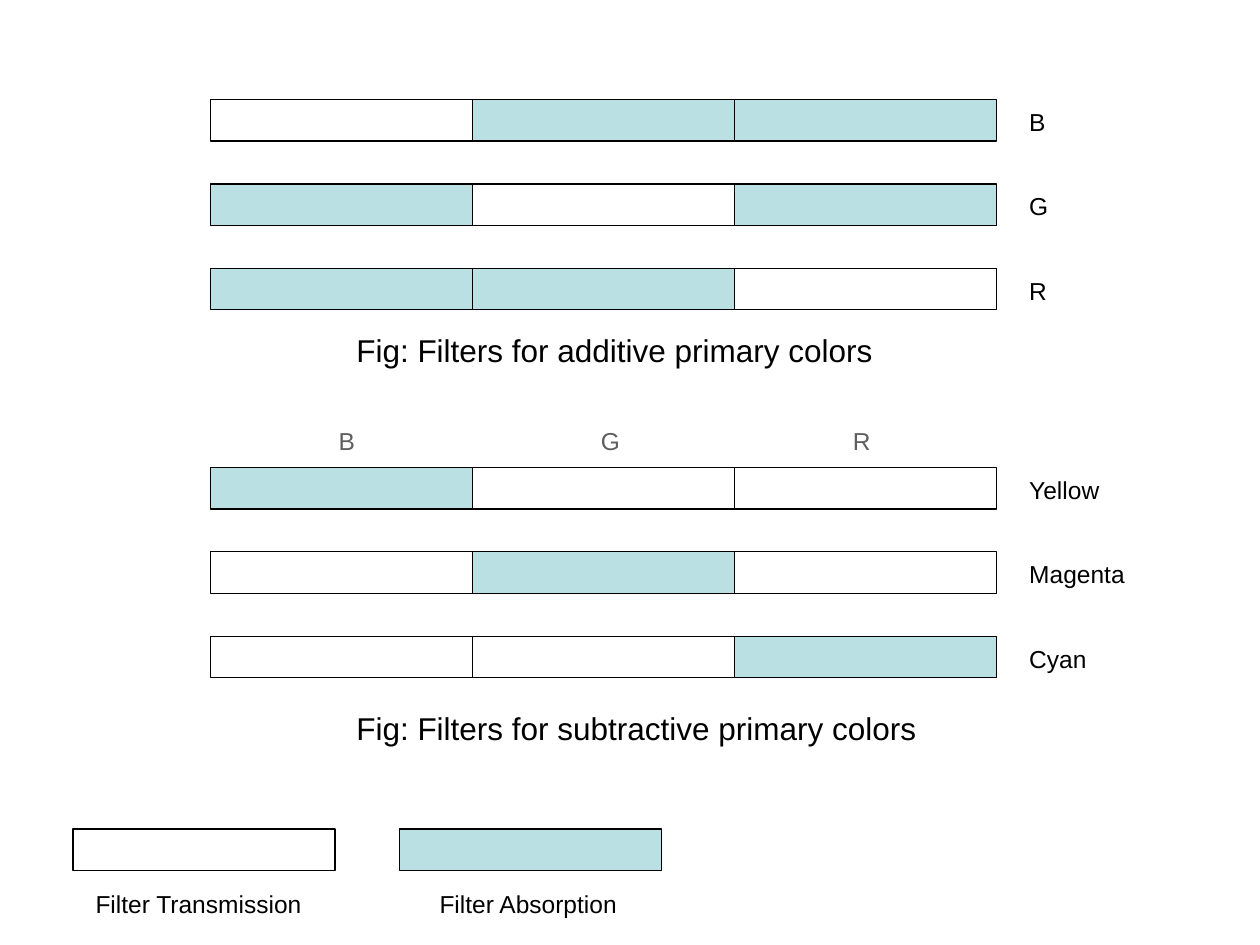
"""Build a slide of filter bars for additive and subtractive primary colors."""
from dataclasses import dataclass

from pptx import Presentation
from pptx.dml.color import RGBColor
from pptx.enum.shapes import MSO_SHAPE
from pptx.enum.text import MSO_AUTO_SIZE
from pptx.slide import Slide
from pptx.util import Inches, Pt

BLACK = RGBColor(0x00, 0x00, 0x00)
GRAY = RGBColor(0x5F, 0x5F, 0x5F)
ABSORPTION = RGBColor(0xBB, 0xE0, 0xE3)

BAND_WIDTH = 2.08
BAND_HEIGHT = 0.33
BANDS_LEFT = 1.67
ROW_PITCH = 0.67
NAME_LEFT = 8.07
NAME_OFFSET = 0.01
BAND_COUNT = 3


@dataclass(frozen=True)
class Label:
    text: str
    left: float
    top: float
    width: float
    size: int = 14
    color: RGBColor = BLACK


@dataclass(frozen=True)
class Filter:
    name: str
    name_width: float
    absorbed_bands: tuple[int, ...]


@dataclass(frozen=True)
class FilterGroup:
    top: float
    filters: tuple[Filter, ...]
    caption: Label


GROUPS = (
    FilterGroup(
        0.79,
        (
            Filter("B", 0.33, (1, 2)),
            Filter("G", 0.35, (0, 2)),
            Filter("R", 0.34, (0, 1)),
        ),
        Label("Fig: Filters for additive primary colors", 2.73, 2.58, 4.32, 18),
    ),
    FilterGroup(
        3.71,
        (
            Filter("Yellow", 0.78, (0,)),
            Filter("Magenta", 0.97, (1,)),
            Filter("Cyan", 0.67, (2,)),
        ),
        Label("Fig: Filters for subtractive primary colors", 2.73, 5.58, 4.68, 18),
    ),
)

BAND_LABELS = (
    Label("B", 2.59, 3.33, 0.33, color=GRAY),
    Label("G", 4.67, 3.33, 0.35, color=GRAY),
    Label("R", 6.67, 3.33, 0.34, color=GRAY),
)

LEGEND_TOP = 6.58
LEGEND = (
    (0.58, False, Label("Filter Transmission", 0.66, 7.01, 1.85)),
    (3.17, True, Label("Filter Absorption", 3.39, 7.01, 1.63)),
)


def add_band(slide: Slide, left: float, top: float, absorbs: bool) -> None:
    shape = slide.shapes.add_shape(
        MSO_SHAPE.RECTANGLE,
        Inches(left),
        Inches(top),
        Inches(BAND_WIDTH),
        Inches(BAND_HEIGHT),
    )
    shape.shadow.inherit = False
    if absorbs:
        shape.fill.solid()
        shape.fill.fore_color.rgb = ABSORPTION
    else:
        shape.fill.background()
    shape.line.color.rgb = BLACK
    shape.line.width = Pt(0.75)


def add_label(slide: Slide, label: Label) -> None:
    height = 0.4 if label.size == 18 else 0.34
    text_box = slide.shapes.add_textbox(
        Inches(label.left), Inches(label.top), Inches(label.width), Inches(height)
    )
    text_frame = text_box.text_frame
    text_frame.word_wrap = False
    text_frame.auto_size = MSO_AUTO_SIZE.SHAPE_TO_FIT_TEXT
    run = text_frame.paragraphs[0].add_run()
    run.text = label.text
    run.font.name = "Arial"
    run.font.size = Pt(label.size)
    run.font.color.rgb = label.color


def add_filter_group(slide: Slide, group: FilterGroup) -> None:
    for row, color_filter in enumerate(group.filters):
        top = group.top + row * ROW_PITCH
        for band in range(BAND_COUNT):
            left = BANDS_LEFT + band * BAND_WIDTH
            add_band(slide, left, top, band in color_filter.absorbed_bands)
        name = Label(
            color_filter.name, NAME_LEFT, top + NAME_OFFSET, color_filter.name_width
        )
        add_label(slide, name)
    add_label(slide, group.caption)


def main() -> None:
    presentation = Presentation()
    presentation.slide_width = Inches(10)
    presentation.slide_height = Inches(7.5)
    slide = presentation.slides.add_slide(presentation.slide_layouts[6])
    for group in GROUPS:
        add_filter_group(slide, group)
    for left, absorbs, label in LEGEND:
        add_band(slide, left, LEGEND_TOP, absorbs)
        add_label(slide, label)
    for label in BAND_LABELS:
        add_label(slide, label)
    presentation.save("out.pptx")


if __name__ == "__main__":
    main()
